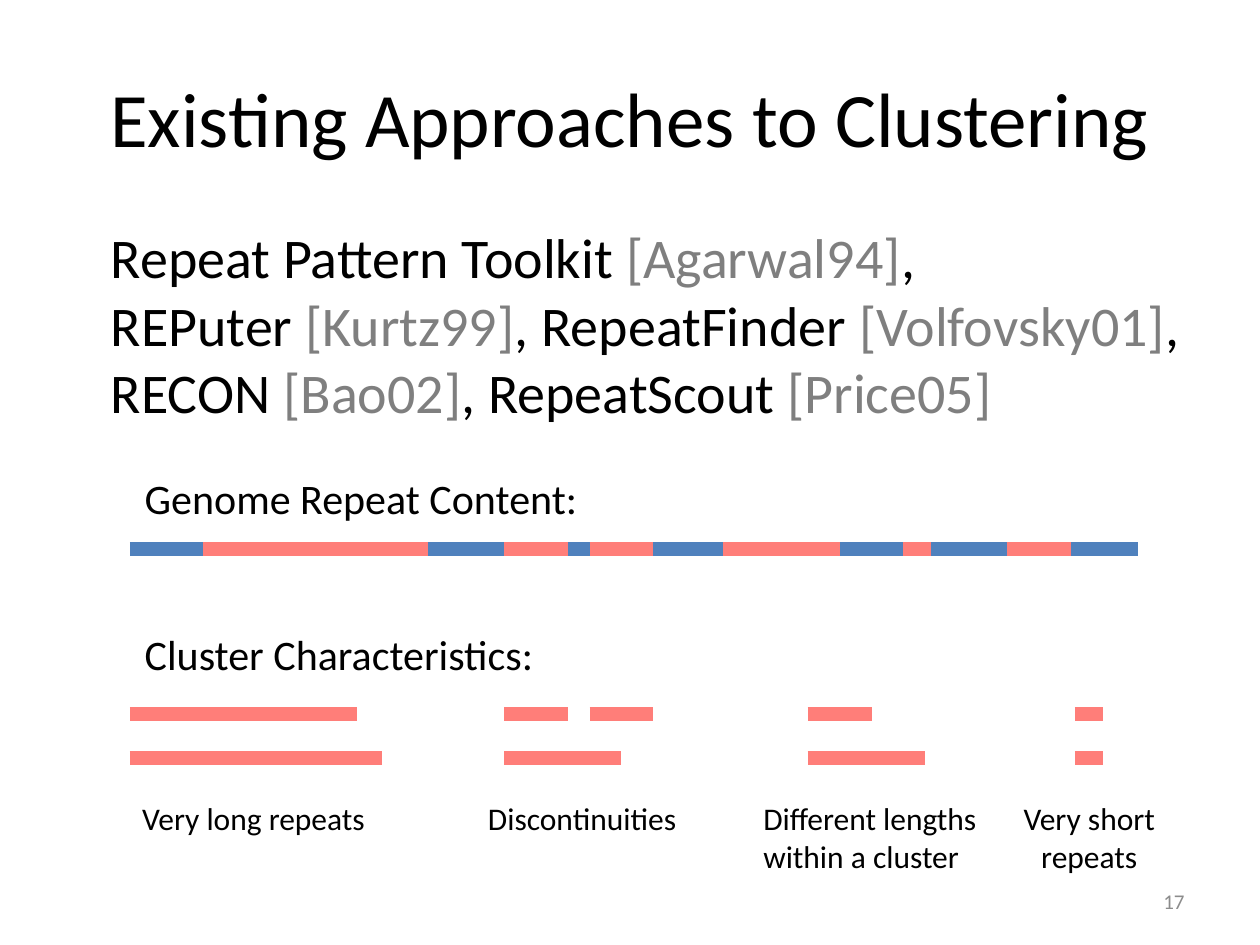
from lxml.etree import SubElement
from pptx import Presentation
from pptx.dml.color import RGBColor
from pptx.enum.shapes import MSO_CONNECTOR
from pptx.enum.text import MSO_ANCHOR, PP_ALIGN
from pptx.oxml.ns import qn
from pptx.util import Inches, Pt

COLORS = {"text": "000000", "citation": "7F7F7F", "number": "8C8C8C",
          "genome": "4F81BD", "repeat": "FF7E79"}
UPPER_ROW, LOWER_ROW, CAPTION_TOP, GENOME_ROW = 5.67, 6.02, 6.29, 4.36
GENOME_REPEATS = [(1.61, 3.4), (4, 4.51), (4.68, 5.18), (5.74, 6.67),
                  (7.17, 7.39), (7.99, 8.5)]
CLUSTERS = [
    {"caption": "Very long repeats", "box": (1.03, 2, 0.4), "align": PP_ALIGN.LEFT,
     "upper": [(1.03, 2.83)], "lower": [(1.03, 3.03)]},
    {"caption": "Discontinuities", "box": (3.62, 2, 0.4), "align": PP_ALIGN.CENTER,
     "upper": [(4, 4.51), (4.68, 5.18)], "lower": [(4, 4.93)]},
    {"caption": "Different lengths within a cluster", "box": (5.96, 2.04, 0.71),
     "align": PP_ALIGN.LEFT, "upper": [(6.41, 6.92)], "lower": [(6.41, 7.34)]},
    {"caption": "Very short repeats", "box": (7.99, 1.31, 0.71),
     "align": PP_ALIGN.CENTER, "upper": [(8.53, 8.75)], "lower": [(8.53, 8.75)]},
]
APPROACHES = [("Repeat Pattern Toolkit ", "text"), ("[Agarwal94]", "citation"),
              (", \vREPuter ", "text"), ("[Kurtz99]", "citation"),
              (", RepeatFinder ", "text"), ("[Volfovsky01]", "citation"),
              (",\vRECON ", "text"), ("[Bao02]", "citation"),
              (", RepeatScout ", "text"), ("[Price05]", "citation")]


def set_attributes(target, values):
    """Set each named attribute of the target."""
    for name, value in values.items():
        setattr(target, name, value)


def write_runs(shape, runs, size, align=PP_ALIGN.LEFT, **frame_format):
    """Fill a shape with one paragraph of coloured runs."""
    set_attributes(shape.text_frame, {"word_wrap": True, **frame_format})
    paragraph = shape.text_frame.paragraphs[0]
    paragraph.alignment = align
    for text, color in runs:
        pieces = text.split("\v")
        for index, piece in enumerate(pieces):
            if index:
                paragraph.add_line_break()
            run = paragraph.add_run()
            run.text = piece
            set_attributes(run.font, {"name": "Calibri", "size": Pt(size)})
            run.font.color.rgb = RGBColor.from_string(COLORS[color])


def add_text(shapes, box, runs, size, align=PP_ALIGN.LEFT, **frame_format):
    """Add a text box at left, top, width and height in inches."""
    shape = shapes.add_textbox(*map(Inches, box))
    write_runs(shape, runs, size, align, **frame_format)


def add_bars(shapes, spans, top, color):
    """Add thick horizontal lines for the spans of one row."""
    for start, end in spans:
        line = shapes.add_connector(MSO_CONNECTOR.STRAIGHT, Inches(start), Inches(top),
                                    Inches(end), Inches(top))
        line.line.width = Pt(8)
        line.line.color.rgb = RGBColor.from_string(COLORS[color])
        SubElement(line._element.spPr, qn("a:effectLst"))


def add_cluster(slide, cluster):
    """Add one group of repeat bars with its caption."""
    shapes = slide.shapes.add_group_shape().shapes
    add_bars(shapes, cluster["upper"], UPPER_ROW, "repeat")
    add_bars(shapes, cluster["lower"], LOWER_ROW, "repeat")
    left, width, height = cluster["box"]
    add_text(shapes, (left, CAPTION_TOP, width, height),
             [(cluster["caption"], "text")], 18, cluster["align"])


def add_genome(slide):
    """Add the genome line with its repeats and heading."""
    shapes = slide.shapes.add_group_shape().shapes
    add_bars(shapes, [(1.03, 9.03)], GENOME_ROW, "genome")
    add_bars(shapes, GENOME_REPEATS, GENOME_ROW, "repeat")
    add_text(shapes, (1.05, 3.7, 7.98, 0.5), [("Genome Repeat Content:", "text")], 24)


def add_title(slide, text):
    """Place and fill the title placeholder."""
    title = slide.shapes.title
    set_attributes(title, {"left": Inches(0.5), "top": Inches(0.3),
                           "width": Inches(9), "height": Inches(1.25)})
    write_runs(title, [(text, "text")], 44, PP_ALIGN.CENTER,
               vertical_anchor=MSO_ANCHOR.MIDDLE)


def main():
    """Build and save the slide."""
    presentation = Presentation()
    set_attributes(presentation, {"slide_width": Inches(10), "slide_height": Inches(7.5)})
    slide = presentation.slides.add_slide(presentation.slide_layouts[5])
    add_title(slide, "Existing Approaches to Clustering")
    add_text(slide.shapes, (7.17, 6.95, 2.33, 0.4), [("17", "number")], 12,
             PP_ALIGN.RIGHT, vertical_anchor=MSO_ANCHOR.MIDDLE)
    for cluster in CLUSTERS:
        add_cluster(slide, cluster)
    add_text(slide.shapes, (0.4, 1.72, 9.28, 4.95), APPROACHES, 32,
             margin_left=Inches(0.48))
    add_genome(slide)
    add_text(slide.shapes, (1.05, 4.94, 7.98, 0.5),
             [("Cluster Characteristics:", "text")], 24)
    presentation.save("out.pptx")


if __name__ == "__main__":
    main()
